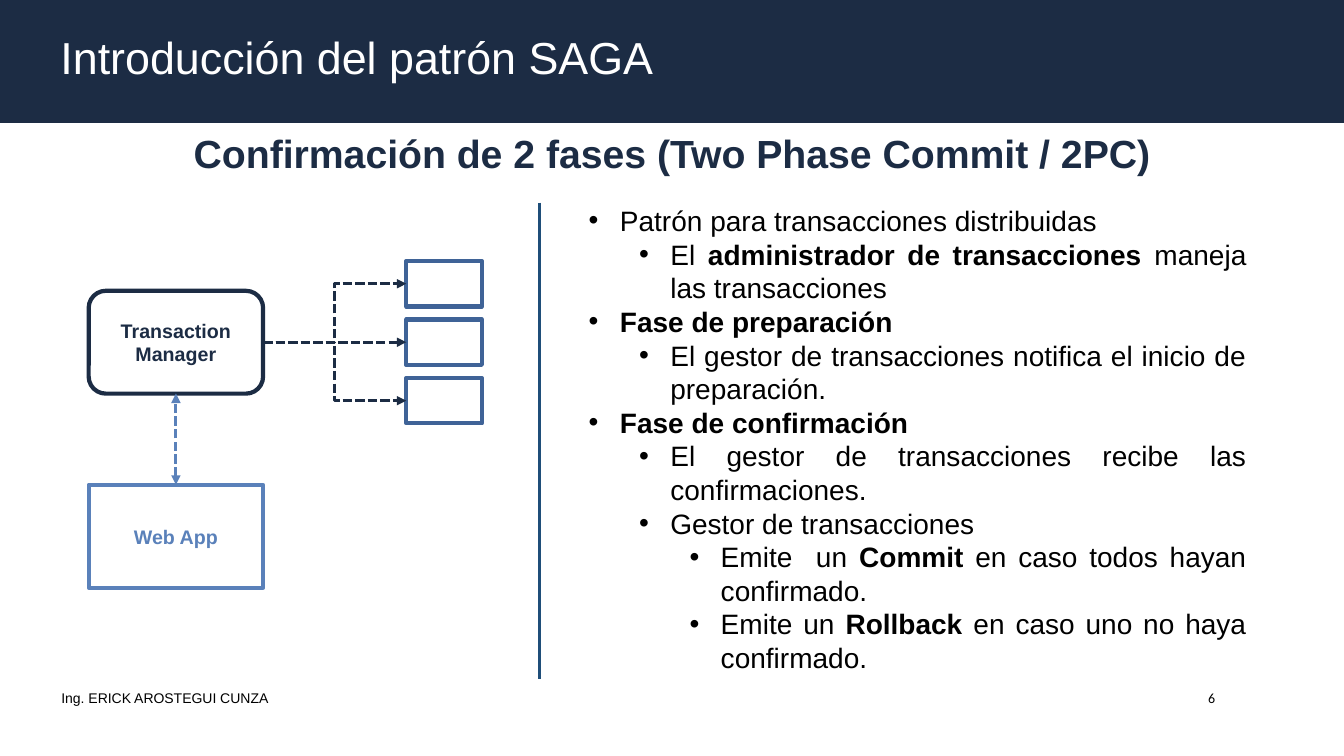
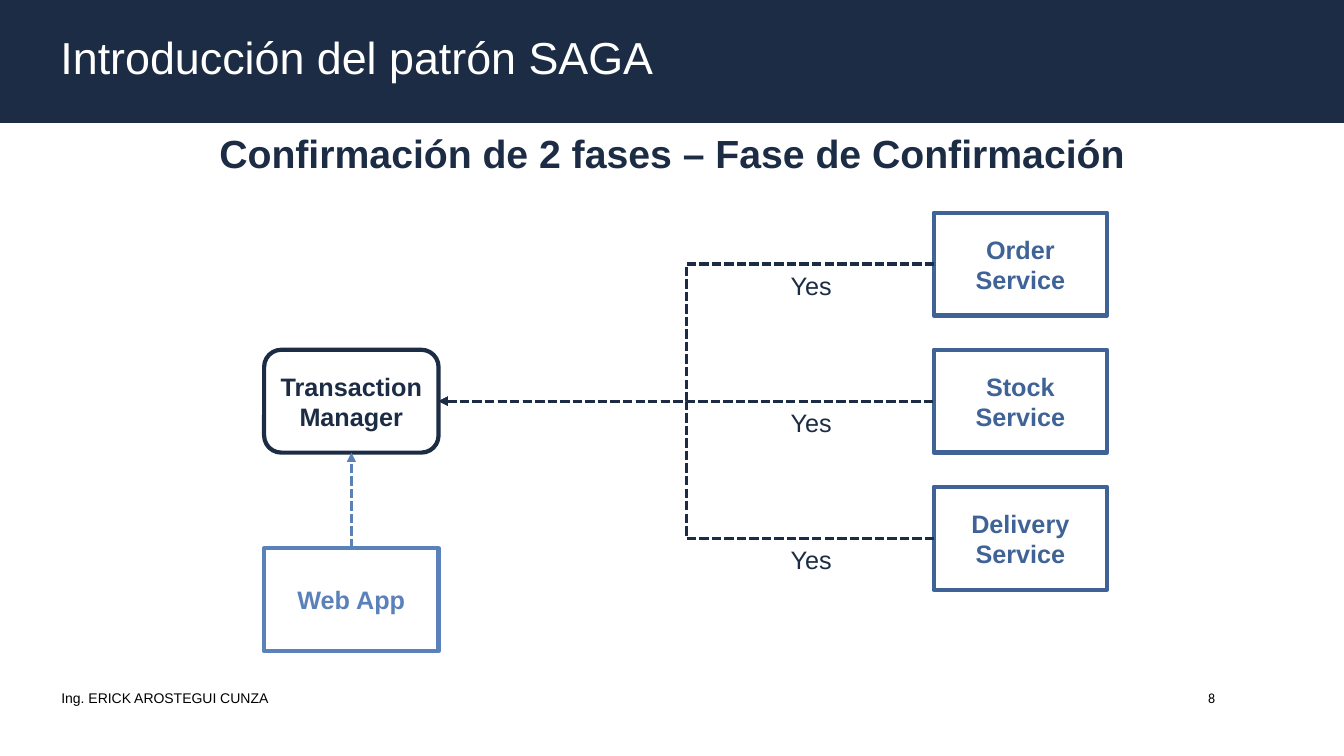
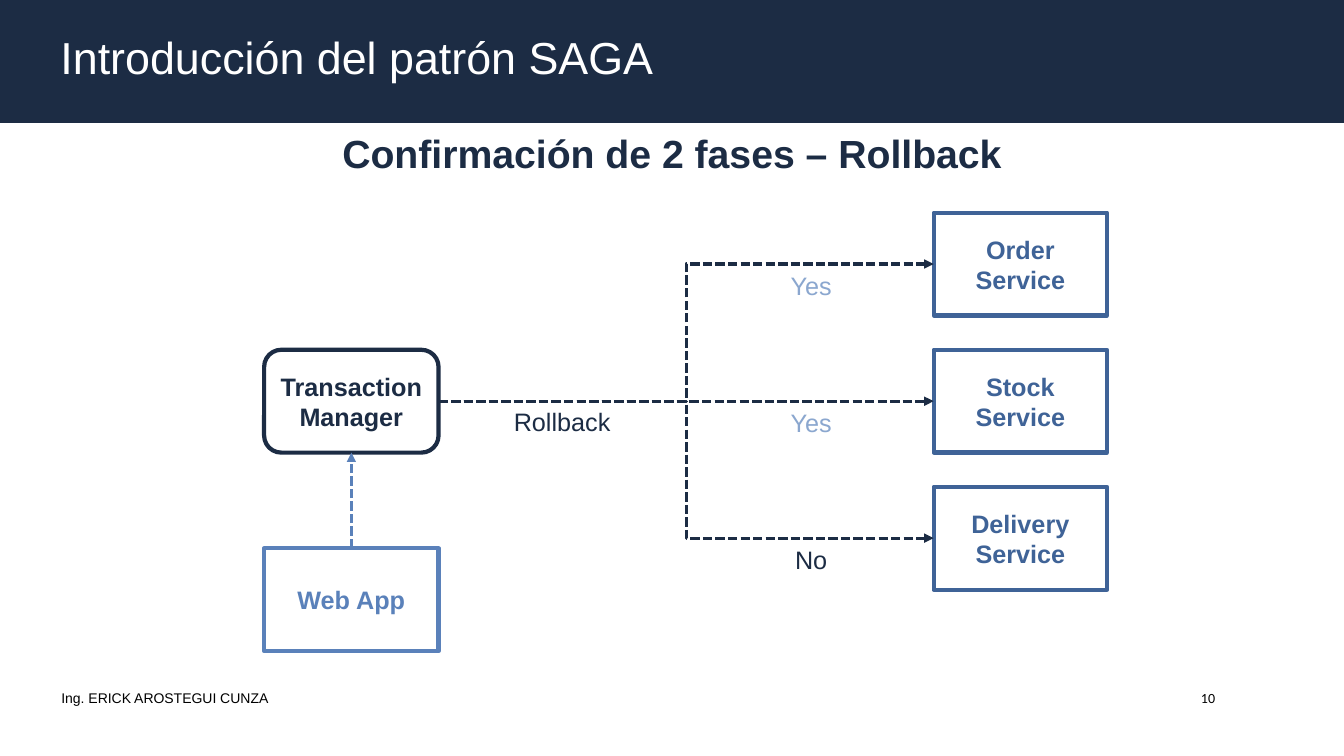
from dataclasses import dataclass

import pptx
import pptx.util
import pptx.dml.color
import pptx.enum.dml
import pptx.enum.shapes
import pptx.enum.text
import pptx.oxml.ns
from lxml import etree

Inches = pptx.util.Inches
Pt = pptx.util.Pt
RGBColor = pptx.dml.color.RGBColor
ALIGN = pptx.enum.text.PP_ALIGN
ANCHOR = pptx.enum.text.MSO_ANCHOR
SHAPE = pptx.enum.shapes.MSO_SHAPE
CONNECTOR = pptx.enum.shapes.MSO_CONNECTOR
qn = pptx.oxml.ns.qn

NAVY = RGBColor(0x1C, 0x2C, 0x44)
SERVICE_BLUE = RGBColor(0x3F, 0x63, 0x97)
WEB_BLUE = RGBColor(0x5A, 0x81, 0xBA)
PALE_BLUE = RGBColor(0x8B, 0xA7, 0xCF)
DIVIDER_BLUE = RGBColor(0x1F, 0x4E, 0x79)
BLACK = RGBColor(0, 0, 0)
WHITE = RGBColor(255, 255, 255)

SLIDE_WIDTH = 13.33
TITLE = "Introducción del patrón SAGA"
AUTHOR = "Ing. ERICK AROSTEGUI CUNZA"
TOP, LEFT, BOTTOM, RIGHT = range(4)

BULLETS = [
    (0, [("Patrón para transacciones distribuidas", False)]),
    (1, [("El ", False), ("administrador de transacciones ", True),
         ("maneja las transacciones", False)]),
    (0, [("Fase de preparación", True)]),
    (1, [("El gestor de transacciones notifica el inicio de preparación.", False)]),
    (0, [("Fase de confirmación", True)]),
    (1, [("El gestor de transacciones recibe las confirmaciones.", False)]),
    (1, [("Gestor de transacciones", False)]),
    (2, [("Emite  un ", False), ("Commit", True),
         (" en caso todos hayan confirmado.", False)]),
    (2, [("Emite un ", False), ("Rollback ", True),
         ("en caso uno no haya confirmado.", False)]),
]


@dataclass
class Box:
    left: float
    top: float
    width: float
    height: float

    def lengths(self):
        return [Inches(value) for value in (self.left, self.top, self.width, self.height)]


def add_run(paragraph, text, size=18, color=NAVY, bold=False, font="Arial"):
    run = paragraph.add_run()
    run.text = text
    run.font.name = font
    run.font.size = Pt(size)
    run.font.bold = bold
    run.font.color.rgb = color


def write_text(shape, text, align=ALIGN.LEFT, anchor=ANCHOR.TOP, wrap=True, **style):
    frame = shape.text_frame
    frame.word_wrap = wrap
    frame.vertical_anchor = anchor
    frame.paragraphs[0].alignment = align
    add_run(frame.paragraphs[0], text, **style)


def add_label(slide, box, text, **style):
    write_text(slide.shapes.add_textbox(*box.lengths()), text, **style)


def add_node(slide, box, color, text="", size=18, kind=SHAPE.RECTANGLE):
    shape = slide.shapes.add_shape(kind, *box.lengths())
    shape.shadow.inherit = False
    shape.fill.background()
    shape.line.color.rgb = color
    shape.line.width = Pt(3)
    if text:
        write_text(shape, text, align=ALIGN.CENTER, anchor=ANCHOR.MIDDLE,
                   size=size, color=color, bold=True)
    return shape


def add_line(slide, color, kind=CONNECTOR.STRAIGHT, start=(0, 0), end=(0, 0)):
    points = [Inches(value) for value in (*start, *end)]
    connector = slide.shapes.add_connector(kind, *points)
    connector.line.color.rgb = color
    connector.line.width = Pt(2.25)
    etree.SubElement(connector._element.spPr, qn("a:effectLst"))
    return connector


def join(slide, source, source_side, target, target_side, color,
         kind=CONNECTOR.STRAIGHT, head=False, tail=False):
    connector = add_line(slide, color, kind)
    connector.begin_connect(source, source_side)
    connector.end_connect(target, target_side)
    connector.line.dash_style = pptx.enum.dml.MSO_LINE.SQUARE_DOT
    outline = connector.line._get_or_add_ln()
    for tag, wanted in (("a:headEnd", head), ("a:tailEnd", tail)):
        if wanted:
            etree.SubElement(outline, qn(tag), type="triangle")


def add_frame(presentation, subtitle, number):
    slide = presentation.slides.add_slide(presentation.slide_layouts[6])
    band = slide.shapes.add_shape(SHAPE.RECTANGLE, *Box(0, -0.1, SLIDE_WIDTH, 1.32).lengths())
    band.shadow.inherit = False
    band.fill.solid()
    band.fill.fore_color.rgb = NAVY
    band.line.fill.background()
    band.text_frame.margin_left = Inches(0.6)
    write_text(band, TITLE, anchor=ANCHOR.MIDDLE, size=32, color=WHITE)
    add_label(slide, Box(0, 1.23, SLIDE_WIDTH, 0.57), subtitle,
              align=ALIGN.CENTER, size=28, bold=True)
    add_label(slide, Box(0.51, 6.79, 2.28, 0.27), AUTHOR, wrap=False, size=10, color=BLACK)
    add_label(slide, Box(11.65, 6.79, 0.5, 0.27), str(number), align=ALIGN.RIGHT,
              size=10, color=BLACK, font="Calibri")
    return slide


def add_bullets(slide, box, items):
    frame = slide.shapes.add_textbox(*box.lengths()).text_frame
    frame.word_wrap = True
    for index, (level, parts) in enumerate(items):
        paragraph = frame.add_paragraph() if index else frame.paragraphs[0]
        paragraph.level = level
        paragraph.alignment = ALIGN.JUSTIFY
        properties = paragraph._p.get_or_add_pPr()
        properties.set("marL", str(Inches(0.31 + 0.5 * level)))
        properties.set("indent", str(-Inches(0.31)))
        etree.SubElement(properties, qn("a:buFont"), typeface="Arial")
        etree.SubElement(properties, qn("a:buChar"), char="•")
        for text, bold in parts:
            add_run(paragraph, text, size=20, color=BLACK, bold=bold)


def add_diagram(slide, box, services, service_size, pitch, text_size,
                to_manager=False, to_services=False, to_web=False):
    width, height = 1.73, 1.02
    service_width, service_height = service_size
    center = box.top + pitch + service_height / 2
    manager = add_node(slide, Box(box.left, center - height / 2, width, height), NAVY,
                       "Transaction Manager", text_size, SHAPE.ROUNDED_RECTANGLE)
    web = add_node(slide, Box(box.left, box.top + box.height - height, width, height),
                   WEB_BLUE, "Web App", text_size)
    join(slide, web, TOP, manager, BOTTOM, WEB_BLUE, head=to_web, tail=True)
    for index, name in enumerate(services):
        place = Box(box.left + box.width - service_width, box.top + index * pitch,
                    service_width, service_height)
        service = add_node(slide, place, SERVICE_BLUE, name, text_size)
        kind = CONNECTOR.STRAIGHT if index == 1 else CONNECTOR.ELBOW
        join(slide, manager, RIGHT, service, LEFT, NAVY, kind,
             head=to_manager, tail=to_services)


def add_overview_slide(presentation):
    slide = add_frame(presentation, "Confirmación de 2 fases (Two Phase Commit / 2PC)", 6)
    add_line(slide, DIVIDER_BLUE, start=(5.35, 2.01), end=(5.35, 6.74))
    add_bullets(slide, Box(5.74, 1.97, 6.72, 4.81), BULLETS)
    add_diagram(slide, Box(0.88, 2.59, 3.9, 3.24), [""] * 3, (0.75, 0.45), 0.58, 14,
                to_services=True, to_web=True)


def add_phase_slide(presentation, subtitle, number, answers, command="", **arrows):
    slide = add_frame(presentation, subtitle, number)
    box = Box(2.62, 2.11, 8.36, 4.35)
    pitch = 1.36
    add_diagram(slide, box, ["Order Service", "Stock Service", "Delivery Service"],
                (1.72, 1.02), pitch, 18, **arrows)
    for index, (answer, color) in enumerate(answers):
        place = Box(box.left + 4.18, box.top + 0.52 + index * pitch, 2.49, 0.4)
        add_label(slide, place, answer, align=ALIGN.CENTER, color=color)
    if command:
        add_label(slide, Box(box.left + 1.71, box.top + 0.51 + pitch, 2.49, 0.4), command,
                  align=ALIGN.CENTER)


def main():
    presentation = pptx.Presentation()
    presentation.slide_width = Inches(SLIDE_WIDTH)
    presentation.slide_height = Inches(7.5)
    add_overview_slide(presentation)
    add_phase_slide(presentation, "Confirmación de 2 fases – Fase de Confirmación", 8,
                    [("Yes", NAVY)] * 3, to_manager=True)
    add_phase_slide(presentation, "Confirmación de 2 fases – Rollback", 10,
                    [("Yes", PALE_BLUE), ("Yes", PALE_BLUE), ("No", NAVY)],
                    command="Rollback", to_services=True)
    presentation.save("out.pptx")


if __name__ == "__main__":
    main()
